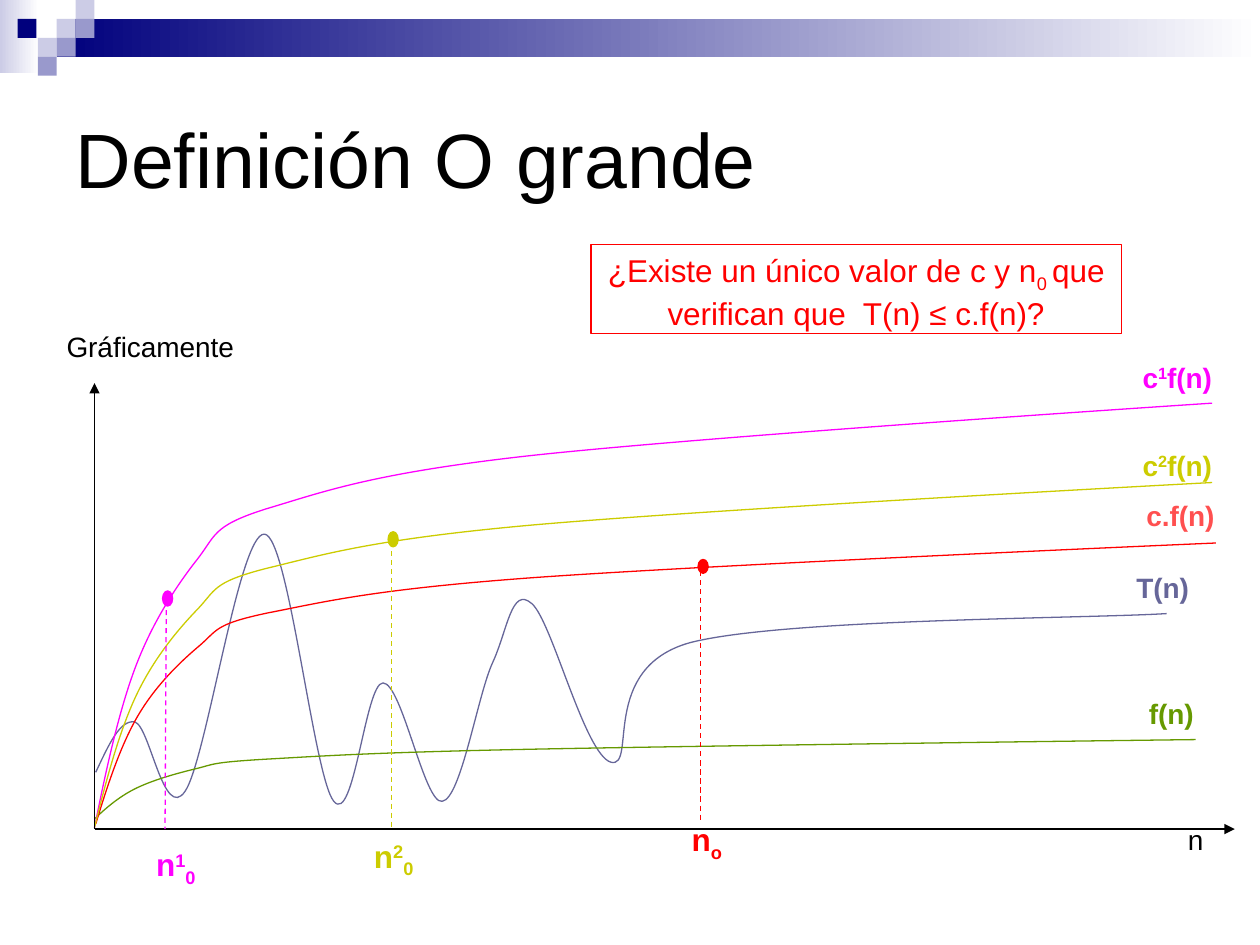
from lxml import etree
from pptx import Presentation
from pptx.dml.color import RGBColor
from pptx.enum.dml import MSO_LINE
from pptx.enum.shapes import MSO_CONNECTOR, MSO_SHAPE
from pptx.enum.text import MSO_ANCHOR, PP_ALIGN
from pptx.oxml.ns import qn
from pptx.util import Inches, Pt

RECTANGLE, OVAL = MSO_SHAPE.RECTANGLE, MSO_SHAPE.OVAL
STRAIGHT, DASH = MSO_CONNECTOR.STRAIGHT, MSO_LINE.DASH
LEFT, CENTER = PP_ALIGN.LEFT, PP_ALIGN.CENTER
TOP, MIDDLE = MSO_ANCHOR.TOP, MSO_ANCHOR.MIDDLE

FONT = "Arial"
SUPER, SUB = 30, -25
COLORS = {
    "black": "000000", "white": "FFFFFF", "navy": "00007D",
    "lavender": "CCCCE6", "violet": "9999CC", "slate": "666699",
    "green": "669900", "red": "FF0000", "coral": "FF5050",
    "magenta": "FF00FF", "olive": "CCCC00",
}

TITLE = "Definición O grande"
QUESTION = [("¿Existe un único valor de c y n", 0), ("0 ", SUB),
            ("que verifican que  T(n) ≤ c.f(n)?", 0)]

GRADIENT_BARS = [((0, 0, 0.31, 0.58), "lavender"), ((0.45, 0.15, 9.55, 0.3), "navy")]
TILE = 0.15
TILES = [(3, 1, "lavender"), (4, 0, "lavender"), (4, 1, "violet"), (2, 2, "lavender"),
         (0.93, 1, "navy"), (3, 2, "violet"), (2, 3, "violet")]

T_CURVE = [
    (0.76, 6.13), (0.86, 5.92), (0.95, 5.71), (1.07, 5.73), (1.19, 5.76), (1.3, 6.53),
    (1.47, 6.28), (1.64, 6.03), (1.9, 4.22), (2.1, 4.24), (2.29, 4.25), (2.49, 6.17),
    (2.65, 6.36), (2.81, 6.56), (2.9, 5.42), (3.04, 5.42), (3.19, 5.42), (3.37, 6.39),
    (3.51, 6.36), (3.66, 6.34), (3.79, 5.52), (3.91, 5.26), (4.03, 5), (4.06, 4.65),
    (4.22, 4.79), (4.38, 4.92), (4.64, 5.99), (4.85, 6.05), (5.06, 6.1), (4.75, 5.3),
    (5.48, 5.1), (6.22, 4.91), (8.63, 4.91), (9.26, 4.87),
]
GROWTH_WIDTH, GROWTH_HEIGHT = 8.87, 3.37
GROWTH = [
    (0, 0), (0.09, 0.45), (0.19, 0.91), (0.32, 1.26), (0.45, 1.61), (0.63, 1.89),
    (0.8, 2.11), (0.97, 2.32), (0.92, 2.39), (1.36, 2.53), (1.8, 2.66), (2.18, 2.81),
    (3.43, 2.95), (4.69, 3.09), (7.96, 3.31), (8.87, 3.37),
]
GROWTH_CURVES = [
    (0.75, 6.5, 8.74, 0.63, "green"),
    (0.76, 6.54, 8.89, 2.23, "red"),
    (0.75, 6.57, 8.87, 3.37, "magenta"),
    (0.75, 6.57, 8.87, 2.74, "olive"),
]
ORIGIN = (0.75, 6.58)
AXIS_ENDS = [(0.75, 3.04), (9.8, 6.58)]
THRESHOLDS = [
    ((5.54, 4.44, 0.08, 0.11), (5.56, 4.53), (5.56, 6.51), "red"),
    ((1.29, 4.69, 0.08, 0.12), (1.32, 4.77), (1.31, 6.58), "magenta"),
    ((3.08, 4.22, 0.08, 0.12), (3.11, 4.3), (3.11, 6.59), "olive"),
]
LABELS = [
    ((0.43, 2.57, 1.54, 0.37), [("Gráficamente", 0)], 16, "black", False),
    ((9.33, 6.48, 0.47, 0.37), [("n", 0)], 16, "black", False),
    ((8.92, 4.48, 0.62, 0.37), [("T(n)", 0)], 16, "slate", True),
    ((9.02, 5.48, 0.71, 0.37), [("f(n)", 0)], 16, "green", True),
    ((9, 3.91, 1.04, 0.37), [("c.f(n)", 0)], 16, "coral", True),
    ((8.97, 2.81, 1.03, 0.37), [("c", 0), ("1", SUPER), ("f(n)", 0)], 16, "magenta", True),
    ((8.97, 3.51, 1.03, 0.37), [("c", 0), ("2", SUPER), ("f(n)", 0)], 16, "olive", True),
    ((5.39, 6.46, 0.46, 0.4), [("n", 0), ("o", SUB)], 18, "red", True),
    ((1.14, 6.66, 0.56, 0.4), [("n", 0), ("1", SUPER), ("0", SUB)], 18, "magenta", True),
    ((2.87, 6.59, 1.03, 0.4), [("n", 0), ("2", SUPER), ("0", SUB)], 18, "olive", True),
]


def rgb(name):
    return RGBColor.from_string(COLORS[name])


def lengths(values):
    return [Inches(value) for value in values]


def set_line(shape, color):
    shape.line.color.rgb = rgb(color)
    shape.line.width = Pt(0.75)


def write(shape, runs, size, color, bold=False, align=LEFT, anchor=TOP):
    frame = shape.text_frame
    frame.word_wrap = True
    frame.vertical_anchor = anchor
    paragraph = frame.paragraphs[0]
    paragraph.alignment = align
    for text, baseline in runs:
        run = paragraph.add_run()
        run.text = text
        run.font.name = FONT
        run.font.size = Pt(size)
        run.font.bold = bold
        run.font.color.rgb = rgb(color)
        if baseline:
            run._r.get_or_add_rPr().set("baseline", str(baseline * 1000))


def add_shape(slide, kind, box, fill=None):
    shape = slide.shapes.add_shape(kind, *lengths(box))
    shape.shadow.inherit = False
    shape.line.fill.background()
    if fill:
        shape.fill.solid()
        shape.fill.fore_color.rgb = rgb(fill)
    else:
        shape.fill.background()
    return shape


def add_gradient_bar(slide, box, color):
    bar = add_shape(slide, RECTANGLE, box)
    bar.fill.gradient()
    bar.fill.gradient_angle = 0
    for stop, name, position in zip(bar.fill.gradient_stops, (color, "white"), (0, 1)):
        stop.color.rgb = rgb(name)
        stop.position = position


def add_line(slide, start, end, color, dashed=False, arrow=False):
    line = slide.shapes.add_connector(STRAIGHT, *lengths(start + end))
    set_line(line, color)
    if dashed:
        line.line.dash_style = DASH
    if arrow:
        etree.SubElement(line.line._get_or_add_ln(), qn("a:tailEnd"), type="triangle")
    etree.SubElement(line._element.spPr, qn("a:effectLst"))


def add_curve(slide, points, color):
    start, *others = [lengths(point) for point in points]
    builder = slide.shapes.build_freeform(*start)
    builder.add_line_segments(others, close=False)
    curve = builder.convert_to_shape()
    segments = curve._element.xpath(".//a:lnTo")
    for first in range(0, len(segments), 3):
        bezier = etree.Element(qn("a:cubicBezTo"))
        segments[first].addprevious(bezier)
        for segment in segments[first:first + 3]:
            bezier.append(segment[0])
            segment.getparent().remove(segment)
    curve.shadow.inherit = False
    curve.fill.background()
    set_line(curve, color)


def main():
    presentation = Presentation()
    presentation.slide_width, presentation.slide_height = Inches(10), Inches(7.5)
    slide = presentation.slides.add_slide(presentation.slide_layouts[5])

    title = slide.shapes.title
    title.left, title.top, title.width, title.height = lengths((0.5, 0.5, 9, 1.5))
    write(title, [(TITLE, 0)], 44, "black", anchor=MIDDLE)

    for box, color in GRADIENT_BARS:
        add_gradient_bar(slide, box, color)
    for column, row, color in TILES:
        add_shape(slide, RECTANGLE, (column * TILE, row * TILE, TILE, TILE), color)

    add_curve(slide, T_CURVE, "slate")
    for left, base, width, height, color in GROWTH_CURVES:
        points = [(left + x * width / GROWTH_WIDTH, base - y * height / GROWTH_HEIGHT)
                  for x, y in GROWTH]
        add_curve(slide, points, color)
    for end in AXIS_ENDS:
        add_line(slide, ORIGIN, end, "black", arrow=True)
    for dot_box, start, end, color in THRESHOLDS:
        set_line(add_shape(slide, OVAL, dot_box, color), color)
        add_line(slide, start, end, color, dashed=True)

    for box, runs, size, color, bold in LABELS:
        write(slide.shapes.add_textbox(*lengths(box)), runs, size, color, bold)
    question = add_shape(slide, RECTANGLE, (4.69, 1.94, 4.21, 0.71))
    set_line(question, "red")
    write(question, QUESTION, 18, "red", align=CENTER)

    presentation.save("out.pptx")


if __name__ == "__main__":
    main()
